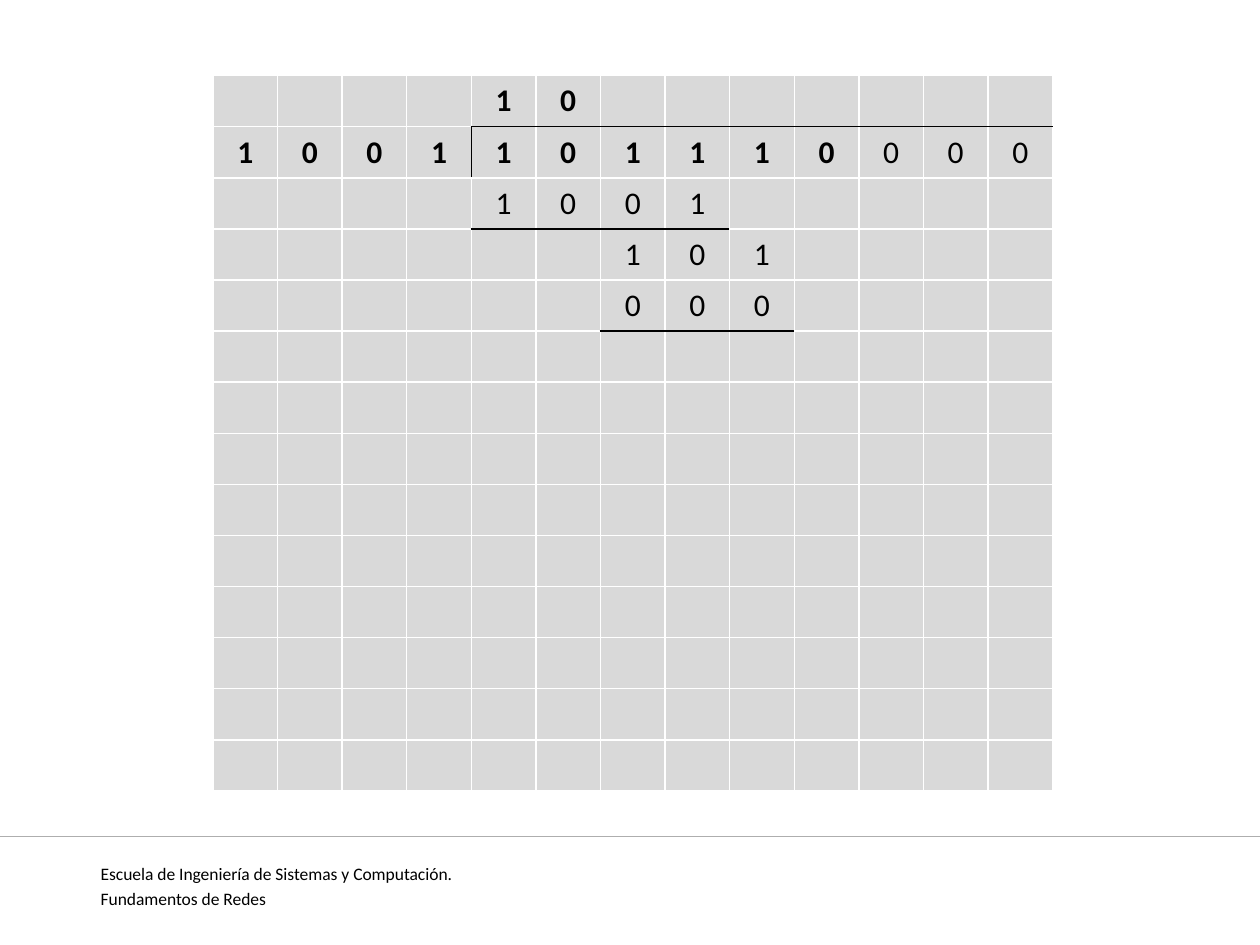
import pptx
import pptx.util
import pptx.dml.color
import pptx.enum.shapes
import pptx.enum.text
import pptx.oxml
import pptx.oxml.ns
from lxml import etree

Pt = pptx.util.Pt
ALIGN = pptx.enum.text.PP_ALIGN

FOOTER = ["Escuela de Ingeniería de Sistemas y Computación.", "Fundamentos de Redes"]
DIGITS = [
    "....10.......",
    "1001101110000",
    "....1001.....",
    "......101....",
    "......000....",
]
ROWS, COLS = 14, 13
BOLD_ROWS, BOLD_COLS = 2, 10
RULES_BELOW = {0: range(4, 13), 2: range(4, 8), 4: range(6, 9)}
DIVISOR_END = (1, 3)
LEFT, TOP, COL_W, ROW_H = 121.7, 43.2, 36.92, 29.2


def rgb(value):
    return pptx.dml.color.RGBColor.from_string(value)


def style(p, size, align, bold=False):
    p.alignment = align
    p.font.name = "Calibri"
    p.font.size = Pt(size)
    p.font.bold = bold
    p.font.color.rgb = rgb("000000")


def set_borders(cell, row, col):
    dark = {
        "L": (row, col - 1) == DIVISOR_END,
        "R": (row, col) == DIVISOR_END,
        "T": col in RULES_BELOW.get(row - 1, ()),
        "B": col in RULES_BELOW.get(row, ()),
    }
    tcPr = cell._tc.get_or_add_tcPr()
    for side, is_dark in dark.items():
        color = "000000" if is_dark else "FFFFFF"
        tcPr.append(pptx.oxml.parse_xml(
            f'<a:ln{side} {pptx.oxml.ns.nsdecls("a")} w="{Pt(1)}">'
            f'<a:solidFill><a:srgbClr val="{color}"/></a:solidFill></a:ln{side}>'))


def add_division(s):
    table = s.shapes.add_table(
        ROWS, COLS, Pt(LEFT), Pt(TOP), Pt(COLS * COL_W), Pt(ROWS * ROW_H)).table
    for column in table.columns:
        column.width = Pt(COL_W)
    for row, table_row in enumerate(table.rows):
        table_row.height = Pt(ROW_H)
        digits = DIGITS[row] if row < len(DIGITS) else "." * COLS
        for col, digit in enumerate(digits):
            cell = table.cell(row, col)
            set_borders(cell, row, col)
            cell.fill.solid()
            cell.fill.fore_color.rgb = rgb("D9D9D9")
            p = cell.text_frame.paragraphs[0]
            if digit != ".":
                p.text = digit
            style(p, 18, ALIGN.CENTER, row < BOLD_ROWS and col < BOLD_COLS)


def add_footer(s):
    line = s.shapes.add_connector(
        pptx.enum.shapes.MSO_CONNECTOR.STRAIGHT, 0, Pt(478.1), Pt(720), Pt(478.1))
    line.line.color.rgb = rgb("AEAEAE")
    line.line.width = Pt(0.75)
    etree.SubElement(line._element.spPr, pptx.oxml.ns.qn("a:effectLst"))
    tf = s.shapes.add_textbox(Pt(50.4), Pt(489.6), Pt(646.6), Pt(28.1)).text_frame
    tf.word_wrap = True
    for i, text in enumerate(FOOTER):
        p = tf.add_paragraph() if i else tf.paragraphs[0]
        p.text = text
        p.space_before = Pt(2 * i)
        style(p, 10, ALIGN.JUSTIFY)


prs = pptx.Presentation()
prs.slide_width, prs.slide_height = Pt(720), Pt(540)
s = prs.slides.add_slide(prs.slide_layouts[6])
add_footer(s)
add_division(s)
prs.save("out.pptx")
